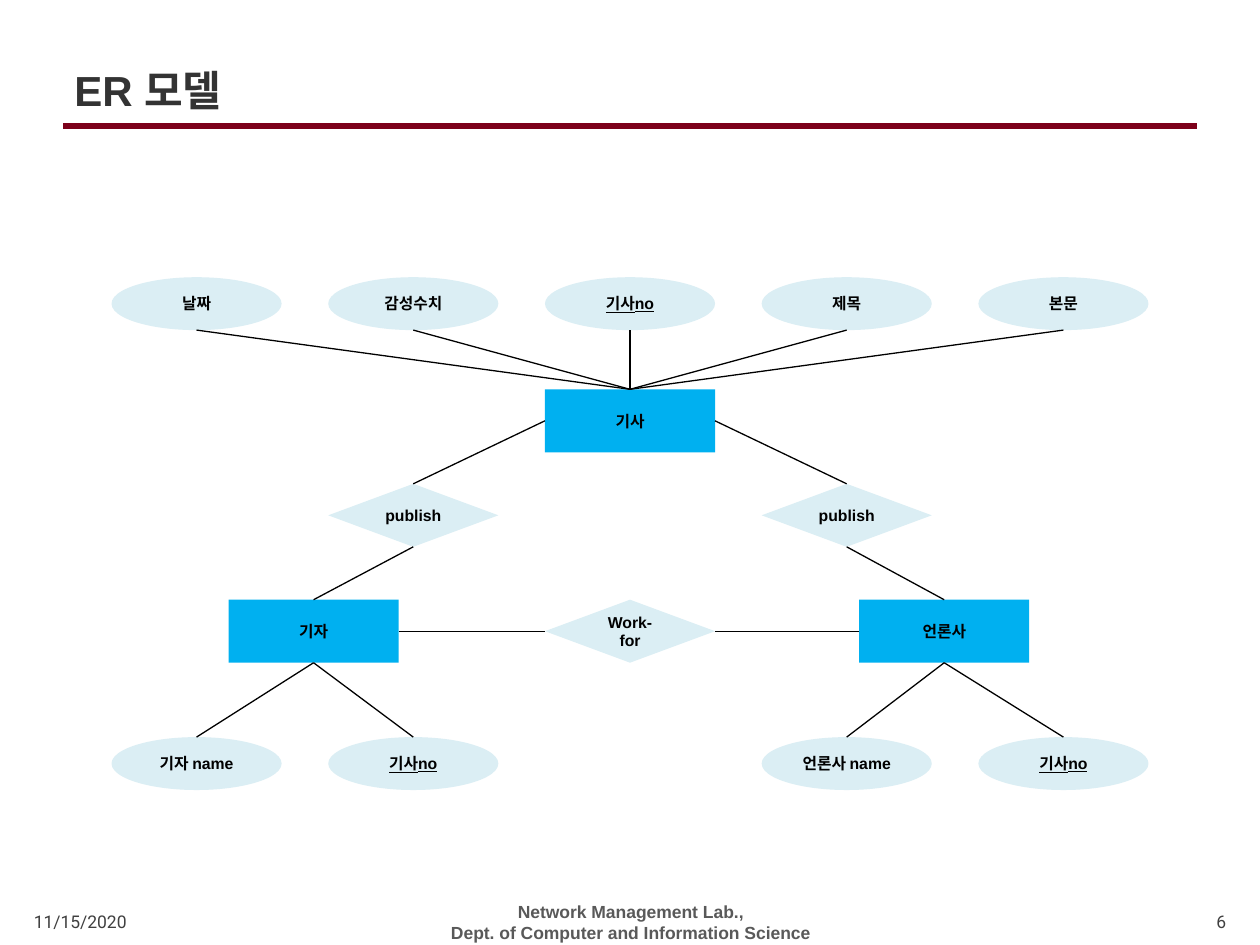
from pptx import Presentation, util as u
from pptx.dml.color import RGBColor
from pptx.enum import shapes, text
from pptx.oxml.ns import qn
from lxml import etree

COLORS = {"title": "333333", "rule": "7C001A", "entity": "00B0F0", "detail": "DBEEF4",
          "ink": "000000", "footer": "595959", "meta": "404040"}
TOP, LEFT, BOTTOM, RIGHT = range(4)
NODE_WIDTH = 1.35
HEIGHTS = {"entity": 0.5, "relation": 0.5, "attribute": 0.42}
FORMS = {"entity": shapes.MSO_SHAPE.RECTANGLE,
         "relation": shapes.MSO_SHAPE.FLOWCHART_DECISION,
         "attribute": shapes.MSO_SHAPE.OVAL}
COLUMN_PITCH = 1.72

NODES = {
    "date": ("attribute", "날짜", -2, 0),
    "sentiment": ("attribute", "감성수치", -1, 0),
    "article_no": ("attribute", "기사no", 0, 0),
    "headline": ("attribute", "제목", 1, 0),
    "body": ("attribute", "본문", 2, 0),
    "article": ("entity", "기사", 0, 0.89),
    "reporter_publish": ("relation", "publish", -1, 1.64),
    "press_publish": ("relation", "publish", 1, 1.64),
    "reporter": ("entity", "기자", -1.46, 2.56),
    "work_for": ("relation", "Work-for", 0, 2.56),
    "press": ("entity", "언론사", 1.45, 2.56),
    "reporter_name": ("attribute", "기자 name", -2, 3.65),
    "reporter_no": ("attribute", "기사no", -1, 3.65),
    "press_name": ("attribute", "언론사 name", 1, 3.65),
    "press_no": ("attribute", "기사no", 2, 3.65),
}
KEYS = {"article_no", "reporter_no", "press_no"}
LINKS = [
    ("reporter", RIGHT, "work_for", LEFT),
    ("work_for", RIGHT, "press", LEFT),
    ("article", LEFT, "reporter_publish", TOP),
    ("reporter_publish", BOTTOM, "reporter", TOP),
    ("article", RIGHT, "press_publish", TOP),
    ("press_publish", BOTTOM, "press", TOP),
] + [(name, BOTTOM, "article", TOP)
     for name in ("date", "sentiment", "article_no", "headline", "body")
     ] + [(owner, BOTTOM, f"{owner}_{part}", TOP)
          for owner in ("reporter", "press") for part in ("name", "no")]


def style(para, size, color, face="Arial", bold=True, align=None):
    """Set the font and alignment of a paragraph."""
    para.alignment = align
    para.font.name, para.font.size, para.font.bold = face, u.Pt(size), bold
    para.font.color.rgb = RGBColor.from_string(COLORS[color])


def add_line(page, start, end, color, width):
    """Draw a straight line without a shadow between two points."""
    line = page.shapes.add_connector(shapes.MSO_CONNECTOR.STRAIGHT, *start, *end)
    line.line.color.rgb = RGBColor.from_string(COLORS[color])
    line.line.width = u.Pt(width)
    etree.SubElement(line._element.spPr, qn("a:effectLst"))
    return line


def add_heading(page, box, wording):
    """Place the title in its box with the rule beneath it."""
    title = page.shapes.title
    title.left, title.top, title.width, title.height = map(u.Inches, box)
    title.text_frame.text = wording
    title.text_frame.vertical_anchor = text.MSO_ANCHOR.MIDDLE
    style(title.text_frame.paragraphs[0], 24, "title", align=text.PP_ALIGN.LEFT)
    add_line(page, (u.Inches(0.5), u.Inches(1)), (u.Inches(9.5), u.Inches(1)), "rule", 3)


def add_note(page, box, wording, **look):
    """Place one footer text in its box."""
    note = page.shapes.add_textbox(*map(u.Inches, box))
    frame = note.text_frame
    frame.word_wrap = True
    frame.vertical_anchor = text.MSO_ANCHOR.MIDDLE
    frame.paragraphs[0].text = wording
    style(frame.paragraphs[0], 10, **look)


def add_footer(page, top, height):
    """Place the date, the affiliation and the page number in one band."""
    meta = {"color": "meta", "face": "Roboto", "bold": False}
    add_note(page, (0.17, top, 1.15, height), "11/15/2020", **meta)
    add_note(page, (2.37, top, 5.27, height),
             "Network Management Lab.,\nDept. of Computer and Information Science",
             color="footer", align=text.PP_ALIGN.CENTER)
    add_note(page, (9.27, top, 0.56, height), "6", align=text.PP_ALIGN.RIGHT, **meta)


def add_node(page, kind, wording, center, top, is_key):
    """Draw one entity, relation or attribute centred on a column."""
    node = page.shapes.add_shape(FORMS[kind], u.Inches(center - NODE_WIDTH / 2), u.Inches(top),
                                 u.Inches(NODE_WIDTH), u.Inches(HEIGHTS[kind]))
    node.shadow.inherit = False
    node.fill.solid()
    fill = "entity" if kind == "entity" else "detail"
    node.fill.fore_color.rgb = RGBColor.from_string(COLORS[fill])
    node.line.fill.background()
    para = node.text_frame.paragraphs[0]
    para.text = wording
    style(para, 9, "ink", align=text.PP_ALIGN.CENTER)
    if is_key:
        para.font.underline = True
    return node


def side_point(node, side):
    """Return the middle of one side of a node."""
    across = {LEFT: 0, RIGHT: node.width}.get(side, node.width // 2)
    down = {TOP: 0, BOTTOM: node.height}.get(side, node.height // 2)
    return node.left + across, node.top + down


def add_diagram(page, center, top):
    """Draw the nodes around a centre column and link them."""
    nodes = {name: add_node(page, kind, wording, center + column * COLUMN_PITCH,
                            top + drop, name in KEYS)
             for name, (kind, wording, column, drop) in NODES.items()}
    for source, source_side, target, target_side in LINKS:
        first, last = nodes[source], nodes[target]
        line = add_line(page, side_point(first, source_side),
                        side_point(last, target_side), "ink", 0.75)
        if NODES[source][0] != "attribute":
            line.begin_connect(first, source_side)
        if NODES[target][0] != "attribute":
            line.end_connect(last, target_side)


def main():
    """Build the slide and save the deck."""
    deck = Presentation()
    deck.slide_width, deck.slide_height = u.Inches(10), u.Inches(7.5)
    page = deck.slides.add_slide(deck.slide_layouts[5])
    add_heading(page, (0.49, 0.44, 9.01, 0.55), "ER 모델")
    add_footer(page, 7.19, 0.25)
    add_diagram(page, 5, 2.2)
    deck.save("out.pptx")


if __name__ == "__main__":
    main()
